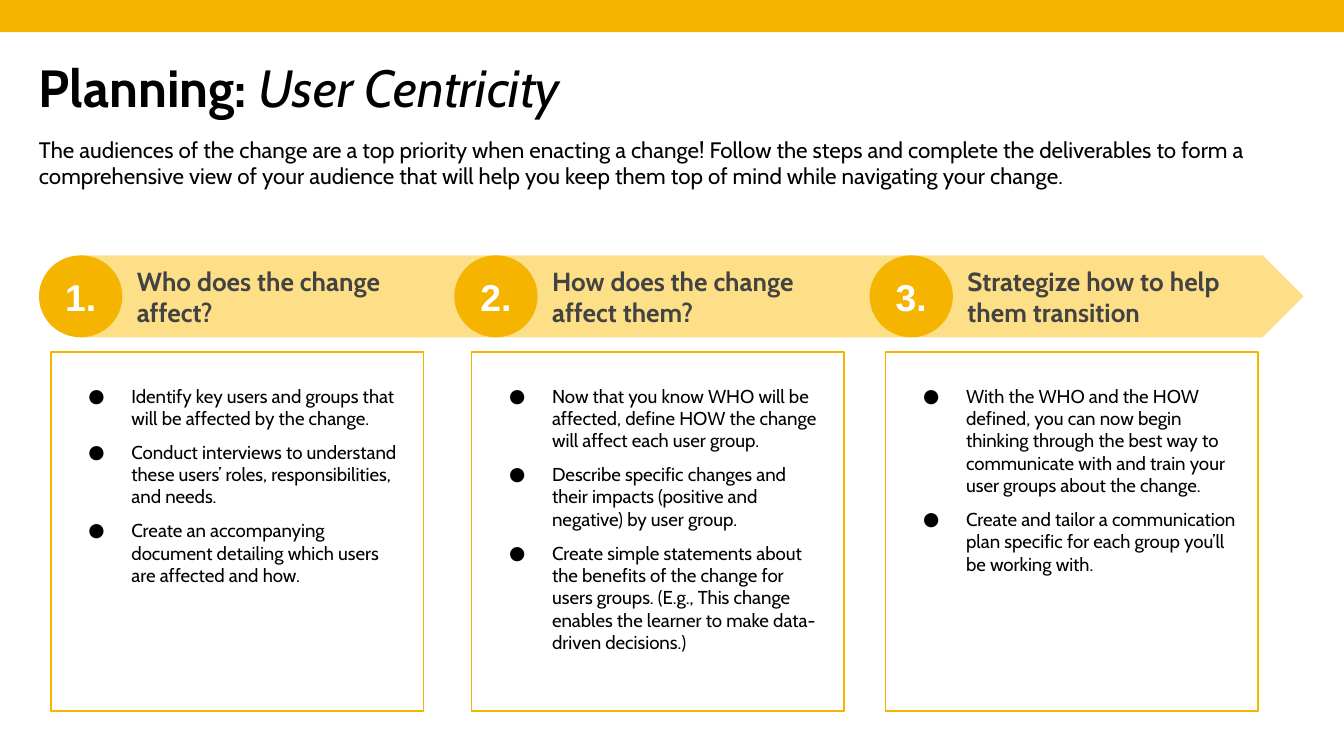
from dataclasses import dataclass

from lxml.etree import SubElement
from pptx import Presentation
from pptx.dml.color import RGBColor
from pptx.enum.shapes import MSO_SHAPE as Shape
from pptx.enum.text import MSO_ANCHOR as Anchor, MSO_AUTO_SIZE as AutoSize, PP_ALIGN as Align
from pptx.oxml.ns import qn
from pptx.util import Inches, Pt

GOLD, PALE_GOLD = "F4B400", "FDDF87"
BLACK, GREY, WHITE = "000000", "434343", "FFFFFF"
PAGE_WIDTH = 10
PAGE_HEIGHT = PAGE_WIDTH * 9 / 16
BAND_TOP, BAND_HEIGHT = 1.9, 0.61
CARD_TOP, CARD_WIDTH, CARD_HEIGHT = 2.62, 2.77, 2.67


@dataclass
class Step:
    left: float
    card_left: float
    heading_width: float
    heading: str
    bullets: list[str]


STEPS = [
    Step(0.29, 0.38, 2.27, "Who does the change affect?", [
        "Identify key users and groups that will be affected by the change.",
        "Conduct interviews to understand these users’ roles, responsibilities, and needs.",
        "Create an accompanying document detailing which users are affected and how.",
    ]),
    Step(3.38, 3.51, 2.35, "How does the change affect them?", [
        "Now that you know WHO will be affected, define HOW the change will affect each user group.",
        "Describe specific changes and their impacts (positive and negative) by user group.",
        "Create simple statements about the benefits of the change for users groups. "
        "(E.g., This change enables the learner to make data-driven decisions.)",
    ]),
    Step(6.47, 6.59, 2.2, "Strategize how to help them transition", [
        "With the WHO and the HOW defined, you can now begin thinking through the best way "
        "to communicate with and train your user groups about the change.",
        "Create and tailor a communication plan specific for each group you’ll be working with.",
    ]),
]


def color(value: str) -> RGBColor:
    return RGBColor.from_string(value)


def place(box, left: float, top: float, width: float, height: float) -> None:
    box.left, box.top = Inches(left), Inches(top)
    box.width, box.height = Inches(width), Inches(height)


def set_frame(box, anchor, left: float, top: float, right: float, bottom: float):
    frame = box.text_frame
    frame.word_wrap = True
    frame.auto_size = AutoSize.NONE
    frame.vertical_anchor = anchor
    frame.margin_left, frame.margin_top = Inches(left), Inches(top)
    frame.margin_right, frame.margin_bottom = Inches(right), Inches(bottom)
    return frame


def add_run(para, text: str, size: float, ink: str = BLACK, bold: bool = False,
            italic: bool = False, font: str = "Cabin") -> None:
    span = para.add_run()
    span.text = text
    span.font.name, span.font.size = font, Pt(size)
    span.font.bold, span.font.italic = bold, italic
    span.font.color.rgb = color(ink)


def add_box(page, kind, left: float, top: float, width: float, height: float,
            fill: str | None = None, line: str | None = None):
    box = page.shapes.add_shape(kind, Inches(left), Inches(top), Inches(width), Inches(height))
    box.shadow.inherit = False
    if fill:
        box.fill.solid()
        box.fill.fore_color.rgb = color(fill)
    else:
        box.fill.background()
    if line:
        box.line.color.rgb = color(line)
        box.line.width = Pt(0.75)
    else:
        box.line.fill.background()
    return box


def set_bullet(para) -> None:
    props = para._p.get_or_add_pPr()
    props.set("marL", str(Inches(0.5)))
    props.set("indent", str(Inches(-0.32)))
    ink = SubElement(props, qn("a:buClr"))
    SubElement(ink, qn("a:srgbClr"), val=BLACK)
    SubElement(props, qn("a:buSzPts"), val="1000")
    SubElement(props, qn("a:buFont"), typeface="Cabin")
    SubElement(props, qn("a:buChar"), char="●")


def add_step(page, number: int, step: Step) -> None:
    # Numbered circle
    circle = add_box(page, Shape.OVAL, step.left, BAND_TOP, 0.62, BAND_HEIGHT, fill=GOLD)
    para = set_frame(circle, Anchor.MIDDLE, 0.1, 0.1, 0.1, 0.1).paragraphs[0]
    para.alignment = Align.CENTER
    add_run(para, f"{number}.", 20, WHITE, bold=True, font="Arial")

    # Heading on the arrow band
    heading = page.shapes.add_textbox(Inches(step.left + 0.63), Inches(1.84),
                                      Inches(step.heading_width), Inches(0.73))
    para = set_frame(heading, Anchor.MIDDLE, 0.1, 0.05, 0.1, 0.05).paragraphs[0]
    add_run(para, step.heading, 14, GREY, bold=True)

    # Outlined card with bullets
    card = add_box(page, Shape.RECTANGLE, step.card_left, CARD_TOP, CARD_WIDTH, CARD_HEIGHT, line=GOLD)
    frame = set_frame(card, Anchor.TOP, 0.1, 0.24, 0.16, 0.05)
    for index, text in enumerate(step.bullets):
        para = frame.add_paragraph() if index else frame.paragraphs[0]
        para.alignment = Align.LEFT
        para.space_before = Pt(6 if index else 0)
        set_bullet(para)
        add_run(para, text, 10)


def main() -> None:
    deck = Presentation()
    deck.slide_width, deck.slide_height = Inches(PAGE_WIDTH), Inches(PAGE_HEIGHT)
    page = deck.slides.add_slide(deck.slide_layouts[1])

    # Title
    title = page.shapes.title
    place(title, 0.29, 0.45, 9.41, 0.45)
    para = set_frame(title, Anchor.TOP, 0, 0.05, 0, 0).paragraphs[0]
    para.alignment = Align.LEFT
    para.line_spacing = 0.8
    add_run(para, "Planning: ", 28, bold=True)
    add_run(para, "User Centricity", 28, italic=True)

    # Introduction
    body = page.placeholders[1]
    place(body, 0.29, 1.01, 9.41, 0.52)
    para = set_frame(body, Anchor.TOP, 0, 0, 0, 0).paragraphs[0]
    para.space_before = Pt(0)
    props = para._p.get_or_add_pPr()
    props.set("marL", "0")
    props.set("indent", "0")
    SubElement(props, qn("a:buNone"))
    add_run(para, "The audiences of the change are a top priority when enacting a change! "
                  "Follow the steps and complete the deliverables to form a comprehensive view "
                  "of your audience that will help you keep them top of mind while navigating "
                  "your change.", 12)

    # Top bar and arrow band
    add_box(page, Shape.RECTANGLE, 0, 0, PAGE_WIDTH, 0.24, fill=GOLD)
    add_box(page, Shape.PENTAGON, 0.6, BAND_TOP, 9.1, BAND_HEIGHT, fill=PALE_GOLD)

    # Steps
    for number, step in enumerate(STEPS, start=1):
        add_step(page, number, step)

    deck.save("out.pptx")


if __name__ == "__main__":
    main()
